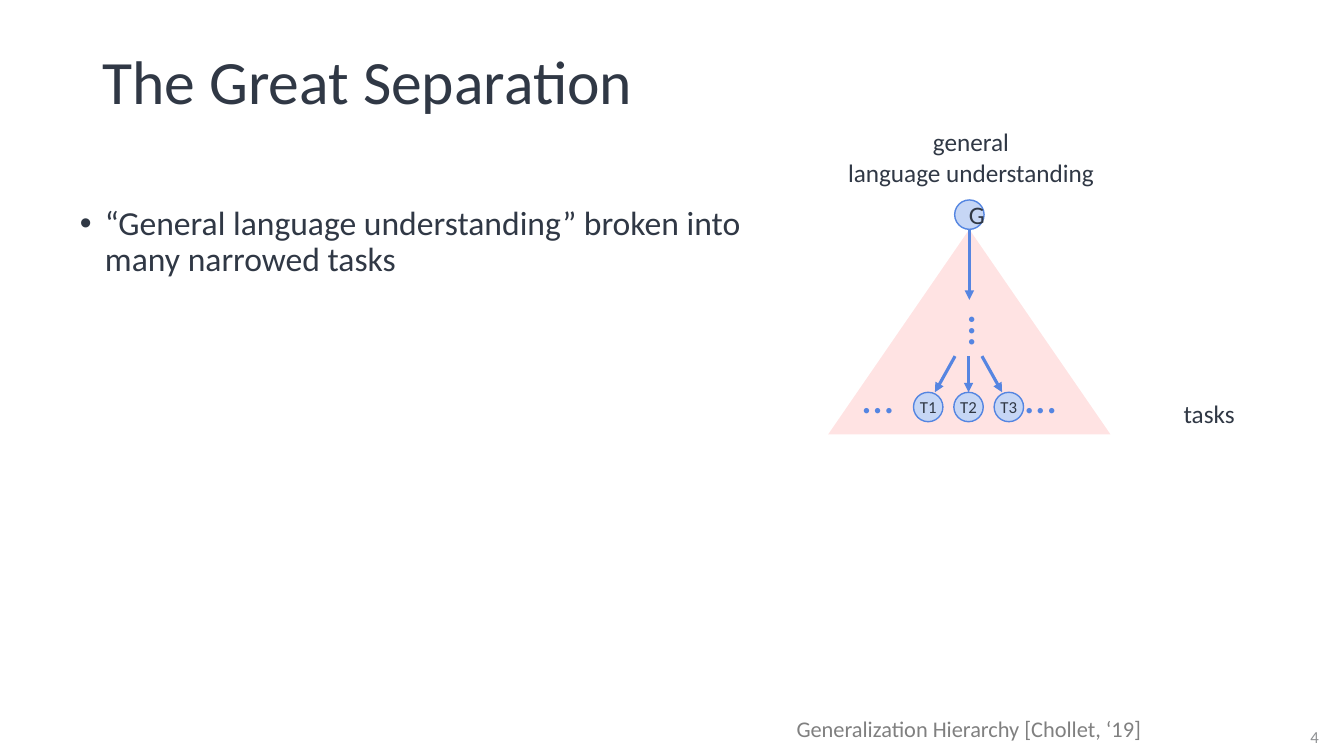
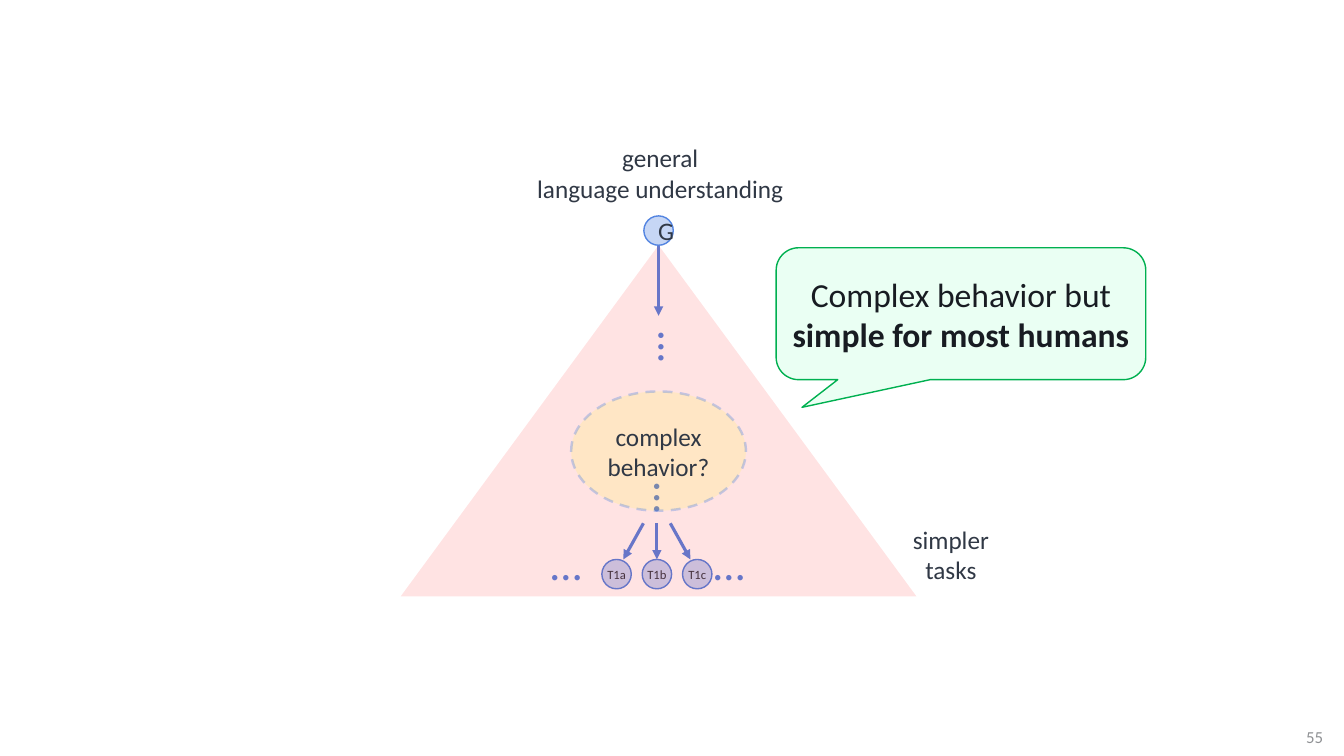
"""Build two slides about the hierarchy of language understanding tasks."""
from dataclasses import dataclass

from lxml import etree
from pptx import Presentation
from pptx.dml.color import RGBColor
from pptx.enum.dml import MSO_LINE
from pptx.enum.shapes import MSO_CONNECTOR, MSO_SHAPE
from pptx.enum.text import MSO_ANCHOR, MSO_AUTO_SIZE, PP_ALIGN
from pptx.oxml.ns import qn
from pptx.util import Inches, Pt

ELLIPSE = MSO_SHAPE.OVAL
TRIANGLE = MSO_SHAPE.ISOSCELES_TRIANGLE
CALLOUT = MSO_SHAPE.ROUNDED_RECTANGULAR_CALLOUT
STRAIGHT = MSO_CONNECTOR.STRAIGHT
DASH = MSO_LINE.DASH
CENTER, LEFT = PP_ALIGN.CENTER, PP_ALIGN.LEFT
TOP, MIDDLE = MSO_ANCHOR.TOP, MSO_ANCHOR.MIDDLE
NO_RESIZE = MSO_AUTO_SIZE.NONE

SLIDE_WIDTH, SLIDE_HEIGHT = Inches(13.33), Inches(7.5)
COLUMNS, ROWS = 160, 90

FONT = "Calibri"
INK, DARK_INK = "303845", "181C22"
NUMBER_GRAY, CITATION_GRAY = "8F9194", "808080"
DISC_FILL, BLUE, DOT_BLUE, ARROW_BLUE = "C6D6F5", "5485E1", "5485E2", "5685E1"
RED, YELLOW = "FF0000", "FFFF00"
CALLOUT_FILL, CALLOUT_LINE = "EAFFF3", "00B050"

DISC = 3.5
TASK_PITCH = 4.8
DOTS_WIDTH, DOTS_HEIGHT = 10.3, 7.7
LABEL_WIDTH, LABEL_HEIGHT = 32.8, 8.5


@dataclass(frozen=True)
class Box:
    """A rectangle in grid columns and rows."""
    left: float
    top: float
    width: float
    height: float


@dataclass(frozen=True)
class Hierarchy:
    """A pyramid from one general ability down to narrow tasks."""
    root_center: float
    root_top: float
    width: float
    height: float
    task_center: float
    task_top: float
    tasks: tuple[str, ...]
    task_size: float
    triangle_in_front: bool = False


def color(value: str) -> RGBColor:
    """Turn a hex string into a colour."""
    return RGBColor.from_string(value)


def across(columns: float) -> int:
    """Convert grid columns to a length."""
    return round(SLIDE_WIDTH * columns / COLUMNS)


def down(rows: float) -> int:
    """Convert grid rows to a length."""
    return round(SLIDE_HEIGHT * rows / ROWS)


def place(box: Box) -> tuple[int, int, int, int]:
    """Convert a grid box to lengths."""
    return across(box.left), down(box.top), across(box.width), down(box.height)


def set_attributes(target, values: dict) -> None:
    """Set each named attribute on the target."""
    for name, value in values.items():
        setattr(target, name, value)


def style_font(font, size: float, ink: str, bold: bool = False) -> None:
    """Give a font its face, size, weight and colour."""
    set_attributes(font, {"name": FONT, "size": Pt(size), "bold": bold})
    font.color.rgb = color(ink)


def set_alpha(solid_fill, percent: float) -> None:
    """Make a solid fill partly transparent."""
    alpha = etree.SubElement(solid_fill.find(qn("a:srgbClr")), qn("a:alpha"))
    alpha.set("val", str(round(percent * 1000)))


def write(shape, text: str, size: float, ink: str = INK, anchor=TOP,
          align=CENTER, inset: tuple[float, float] | None = None):
    """Write one paragraph into a shape and return it."""
    frame = shape.text_frame
    set_attributes(frame, {"word_wrap": True, "auto_size": NO_RESIZE,
                           "vertical_anchor": anchor})
    if inset is not None:
        side, end = map(Inches, inset)
        set_attributes(frame, {"margin_left": side, "margin_right": side,
                               "margin_top": end, "margin_bottom": end})
    paragraph = frame.paragraphs[0]
    paragraph.text = text
    paragraph.alignment = align
    for run in paragraph.runs:
        style_font(run.font, size, ink)
    return paragraph


def add_text(slide, box: Box, text: str, size: float, ink: str = INK,
             anchor=TOP, rotation: float = 0) -> None:
    """Add a centred text box."""
    shape = slide.shapes.add_textbox(*place(box))
    shape.rotation = rotation
    write(shape, text, size, ink, anchor)


def add_figure(slide, kind, box: Box, fill: str, line: str | None = None,
               line_width: float = 1, alpha: float | None = None):
    """Add a flat preset shape."""
    shape = slide.shapes.add_shape(kind, *place(box))
    shape.shadow.inherit = False
    shape.fill.solid()
    shape.fill.fore_color.rgb = color(fill)
    if alpha is not None:
        set_alpha(shape._element.spPr.find(qn("a:solidFill")), alpha)
    if line is None:
        shape.line.fill.background()
    else:
        shape.line.color.rgb = color(line)
        shape.line.width = Pt(line_width)
    return shape


def add_arrow(slide, start: tuple[float, float], end: tuple[float, float]) -> None:
    """Add a straight arrow between two grid points."""
    arrow = slide.shapes.add_connector(
        STRAIGHT, across(start[0]), down(start[1]), across(end[0]), down(end[1]))
    arrow.line.color.rgb = color(ARROW_BLUE)
    arrow.line.width = Pt(2.25)
    properties = arrow._element.spPr
    etree.SubElement(properties.find(qn("a:ln")), qn("a:tailEnd"), type="triangle")
    etree.SubElement(properties, qn("a:effectLst"))


def add_disc(slide, center: float, top: float):
    """Add one node of the hierarchy."""
    box = Box(center - DISC / 2, top, DISC, DISC)
    return add_figure(slide, ELLIPSE, box, DISC_FILL, BLUE)


def add_dots(slide, center: float, top: float, rotation: float = 0) -> None:
    """Add an ellipsis, lying or standing."""
    box = Box(center - DOTS_WIDTH / 2, top, DOTS_WIDTH, DOTS_HEIGHT)
    add_text(slide, box, "…", 32, DOT_BLUE, rotation=rotation)


def add_triangle(slide, hierarchy: Hierarchy) -> None:
    """Add the translucent pyramid under the root."""
    box = Box(hierarchy.root_center - hierarchy.width / 2,
              hierarchy.root_top + DISC, hierarchy.width, hierarchy.height)
    add_figure(slide, TRIANGLE, box, RED, alpha=11)


def add_hierarchy(slide, hierarchy: Hierarchy) -> None:
    """Draw the root, the tasks, the arrows and the pyramid."""
    if not hierarchy.triangle_in_front:
        add_triangle(slide, hierarchy)
    center, top = hierarchy.root_center, hierarchy.root_top
    label = Box(center + 0.2 - LABEL_WIDTH / 2, top - 9.3, LABEL_WIDTH, LABEL_HEIGHT)
    add_text(slide, label, "general\nlanguage understanding", 18)
    write(add_disc(slide, center, top), "G", 18, anchor=MIDDLE)
    add_dots(slide, center - 1.5, top + 11.8, rotation=270)
    add_arrow(slide, (center, top + DISC), (center, top + 11.9))

    center, top = hierarchy.task_center, hierarchy.task_top
    for offset in (-10.8, 8.6):
        add_dots(slide, center + offset, top - 3.4)
    for step, task in enumerate(hierarchy.tasks, start=-1):
        disc = add_disc(slide, center + step * TASK_PITCH, top)
        write(disc, task, hierarchy.task_size, anchor=MIDDLE, inset=(0, 0))
        add_arrow(slide, (center + step * 1.6, top - 4.3), (center + step * 4, top))
    if hierarchy.triangle_in_front:
        add_triangle(slide, hierarchy)


def add_number(slide, number: str) -> None:
    """Add the slide number in the lower right corner."""
    add_text(slide, Box(153, 85.3, 7, 4.8), number, 12, NUMBER_GRAY, MIDDLE)


def fill_placeholder(shape, box: Box, text: str, size: float, anchor):
    """Move a placeholder and write its text."""
    names = ("left", "top", "width", "height")
    set_attributes(shape, dict(zip(names, place(box))))
    paragraph = write(shape, text, size, anchor=anchor, align=LEFT)
    set_attributes(paragraph, {"line_spacing": 0.9, "space_before": Pt(0)})
    return paragraph


def build_separation(presentation) -> None:
    """Build the slide on narrowed tasks."""
    slide = presentation.slides.add_slide(presentation.slide_layouts[1])
    title, body = slide.placeholders
    fill_placeholder(title, Box(11, 3.8, 138, 12.6), "The Great Separation", 44, MIDDLE)
    statement = fill_placeholder(
        body, Box(8.3, 24, 84, 57),
        "“General language understanding” broken into many narrowed tasks", 24, TOP)
    properties = statement._p.get_or_add_pPr()
    properties.set("marL", str(Inches(0.25)))
    properties.set("indent", str(Inches(-0.25)))
    etree.SubElement(properties, qn("a:buChar"), char="•")
    add_hierarchy(slide, Hierarchy(
        115.4, 23.8, 33.6, 24.4, 115.3, 46.7, ("T1", "T2", "T3"), 12))
    add_text(slide, Box(138.2, 46.8, 11.5, 4.8), "tasks", 18)
    add_text(slide, Box(89.2, 84.6, 52.3, 4.4),
             "Generalization Hierarchy [Chollet, ‘19]", 16, CITATION_GRAY)
    add_number(slide, "4")


def build_complex_behavior(presentation) -> None:
    """Build the slide on complex behavior between the levels."""
    slide = presentation.slides.add_slide(presentation.slide_layouts[6])
    add_number(slide, "55")
    add_text(slide, Box(102.8, 61.8, 20.8, 8.5), "simpler\ntasks", 18)
    add_dots(slide, 76.4, 55.4, rotation=270)
    add_hierarchy(slide, Hierarchy(
        78.4, 25.7, 61.4, 41.8, 78.2, 66.6, ("T1a", "T1b", "T1c"), 9,
        triangle_in_front=True))

    behavior = add_figure(slide, ELLIPSE, Box(68, 46.6, 20.8, 14.2),
                          YELLOW, BLUE, 1.75, alpha=13)
    behavior.line.dash_style = DASH
    outline = behavior._element.spPr.find(qn("a:ln"))
    set_alpha(outline.find(qn("a:solidFill")), 34)
    write(behavior, "complex behavior?", 18, anchor=MIDDLE)

    callout = add_figure(slide, CALLOUT, Box(92.4, 29.5, 44, 15.7),
                         CALLOUT_FILL, CALLOUT_LINE)
    for index, value in enumerate((-0.43, 0.71, 0.17)):
        callout.adjustments[index] = value
    remark = write(callout, "Complex behavior but ", 24, DARK_INK, MIDDLE,
                   inset=(0, 0.05))
    emphasis = remark.add_run()
    emphasis.text = "simple for most humans"
    style_font(emphasis.font, 24, DARK_INK, bold=True)


def main() -> None:
    """Build and save the presentation."""
    presentation = Presentation()
    set_attributes(presentation, {"slide_width": SLIDE_WIDTH,
                                  "slide_height": SLIDE_HEIGHT})
    build_separation(presentation)
    build_complex_behavior(presentation)
    presentation.save("out.pptx")


if __name__ == "__main__":
    main()
